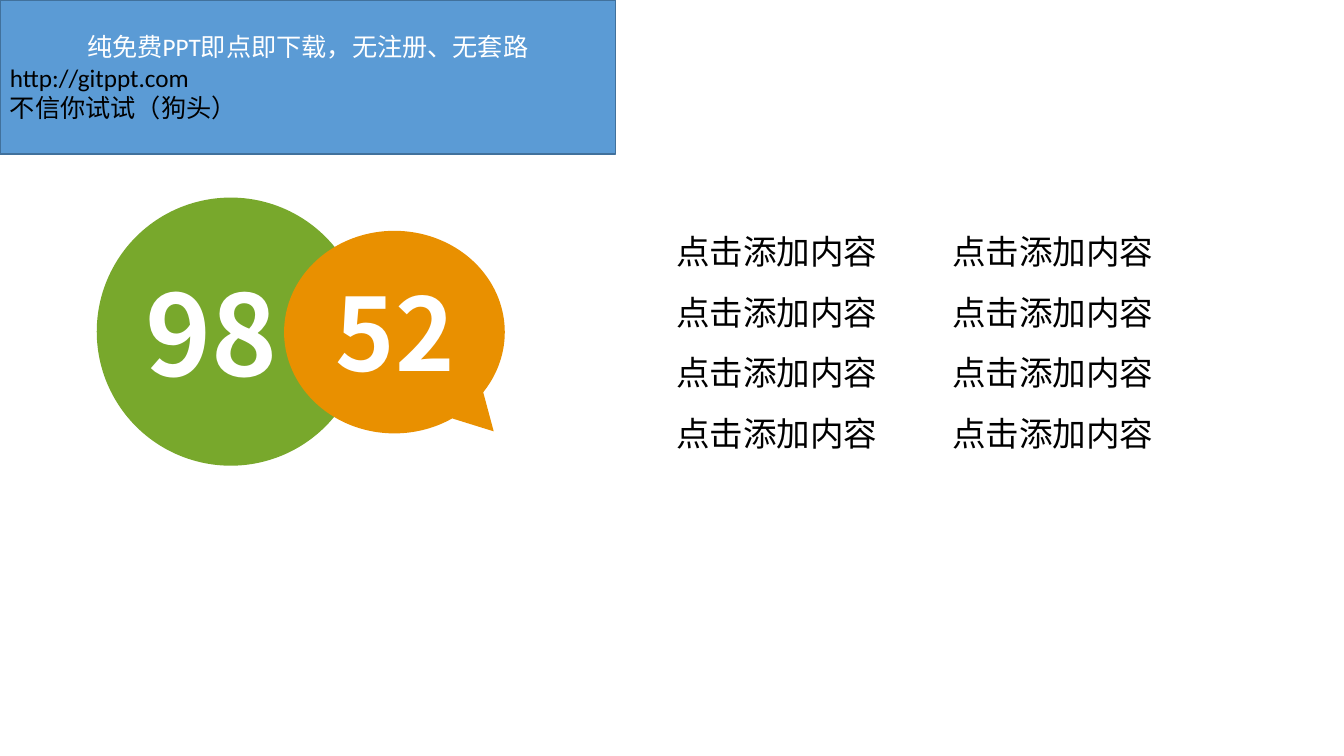
import pptx
import pptx.util
import pptx.dml.color
import pptx.enum.shapes
import pptx.enum.text
import pptx.oxml.ns
from lxml import etree

COLOURS = {
    "green": "78A82C", "orange": "E99000", "blue": "5B9BD5",
    "navy": "41719C", "white": "FFFFFF", "black": "000000",
}
SANS = "Noto Sans CJK SC"
ALIGN = pptx.enum.text.PP_ALIGN
SHAPES = pptx.enum.shapes.MSO_SHAPE
NO_INSET = (0, 0, 0, 0)
DEFAULT_INSET = (0.1, 0.05, 0.1, 0.05)


def colour(name):
    return pptx.dml.color.RGBColor.from_string(COLOURS[name])


def set_attributes(target, values):
    for name, value in values.items():
        setattr(target, name, value)


class SlideBuilder:
    """Draws on one slide; boxes are (left, top, width, height) in percent."""

    def __init__(self, presentation):
        self.size = (presentation.slide_width, presentation.slide_height)
        self.slide = presentation.slides.add_slide(presentation.slide_layouts[6])

    def place(self, box):
        return [round(share / 100 * self.size[i % 2]) for i, share in enumerate(box)]

    def shape(self, kind, box, fill, line=None, adjustments=()):
        shape = self.slide.shapes.add_shape(kind, *self.place(box))
        shape.shadow.inherit = False
        shape.fill.solid()
        shape.fill.fore_color.rgb = colour(fill)
        if line:
            shape.line.color.rgb = colour(line)
            shape.line.width = pptx.util.Pt(1)
        else:
            shape.line.fill.background()
        for index, value in enumerate(adjustments):
            shape.adjustments[index] = value
        return shape

    def text_box(self, box, paragraphs, inset=NO_INSET):
        shape = self.slide.shapes.add_textbox(*self.place(box))
        self.fill_text(shape, paragraphs, inset)

    def fill_text(self, shape, paragraphs, inset):
        """Fill a shape with (text, paragraph format, font format, colour, tab) rows."""
        frame = shape.text_frame
        sides = ("margin_left", "margin_top", "margin_right", "margin_bottom")
        set_attributes(frame, {
            "word_wrap": True,
            "vertical_anchor": pptx.enum.text.MSO_ANCHOR.MIDDLE,
            **{side: pptx.util.Inches(gap) for side, gap in zip(sides, inset)},
        })
        for index, (text, layout, style, ink, tab) in enumerate(paragraphs):
            paragraph = frame.add_paragraph() if index else frame.paragraphs[0]
            if tab:
                self.add_tab(paragraph, tab)
            set_attributes(paragraph, layout)
            run = paragraph.add_run()
            run.text = text
            set_attributes(run.font, style)
            run.font.color.rgb = colour(ink)
            east_asian = etree.SubElement(run.font._element, pptx.oxml.ns.qn("a:ea"))
            east_asian.set("typeface", SANS)

    def add_tab(self, paragraph, inches):
        properties = paragraph._p.get_or_add_pPr()
        stops = etree.SubElement(properties, pptx.oxml.ns.qn("a:tabLst"))
        stop = etree.SubElement(stops, pptx.oxml.ns.qn("a:tab"))
        stop.set("pos", str(pptx.util.Inches(inches)))
        stop.set("algn", "l")

    def number(self, box, text, size, align, inset):
        style = {"name": SANS, "size": pptx.util.Pt(size), "bold": True}
        self.text_box(box, [(text, {"alignment": align}, style, "white", None)], inset)


def main():
    presentation = pptx.Presentation()
    presentation.slide_width = pptx.util.Inches(13.34)
    presentation.slide_height = pptx.util.Inches(7.5)
    builder = SlideBuilder(presentation)

    builder.shape(SHAPES.OVAL, (7.2, 26.13, 19.94, 35.47), "green")
    builder.number((10.12, 35.2, 14.09, 17.33), "98", 80, ALIGN.LEFT, DEFAULT_INSET)
    builder.shape(SHAPES.OVAL_CALLOUT, (21.14, 30.53, 16.42, 26.8), "orange",
                  adjustments=(0.45, 0.49))
    builder.number((23.61, 35.2, 11.62, 17.33), "52", 72, ALIGN.CENTER, NO_INSET)

    item = "点击添加内容"
    row = (f"{item}\t{item}", {"alignment": ALIGN.LEFT, "line_spacing": 1.5},
           {"name": SANS, "size": pptx.util.Pt(24)}, "black", 2.74)
    builder.text_box((42.58, 28.27, 50.97, 31.33), [row] * 4, (1.03, 0, 0, 0))

    banner = builder.shape(SHAPES.RECTANGLE, (0, 0, 45.8, 20.4), "blue", "navy")
    banner_style = {"name": "Calibri", "size": pptx.util.Pt(18)}
    banner_lines = [
        ("纯免费PPT即点即下载，无注册、无套路", ALIGN.CENTER, "white"),
        ("http://gitppt.com", ALIGN.LEFT, "black"),
        ("不信你试试（狗头）", ALIGN.LEFT, "black"),
    ]
    builder.fill_text(banner, [(text, {"alignment": align}, banner_style, ink, None)
                               for text, align, ink in banner_lines], DEFAULT_INSET)

    presentation.save("out.pptx")


if __name__ == "__main__":
    main()
